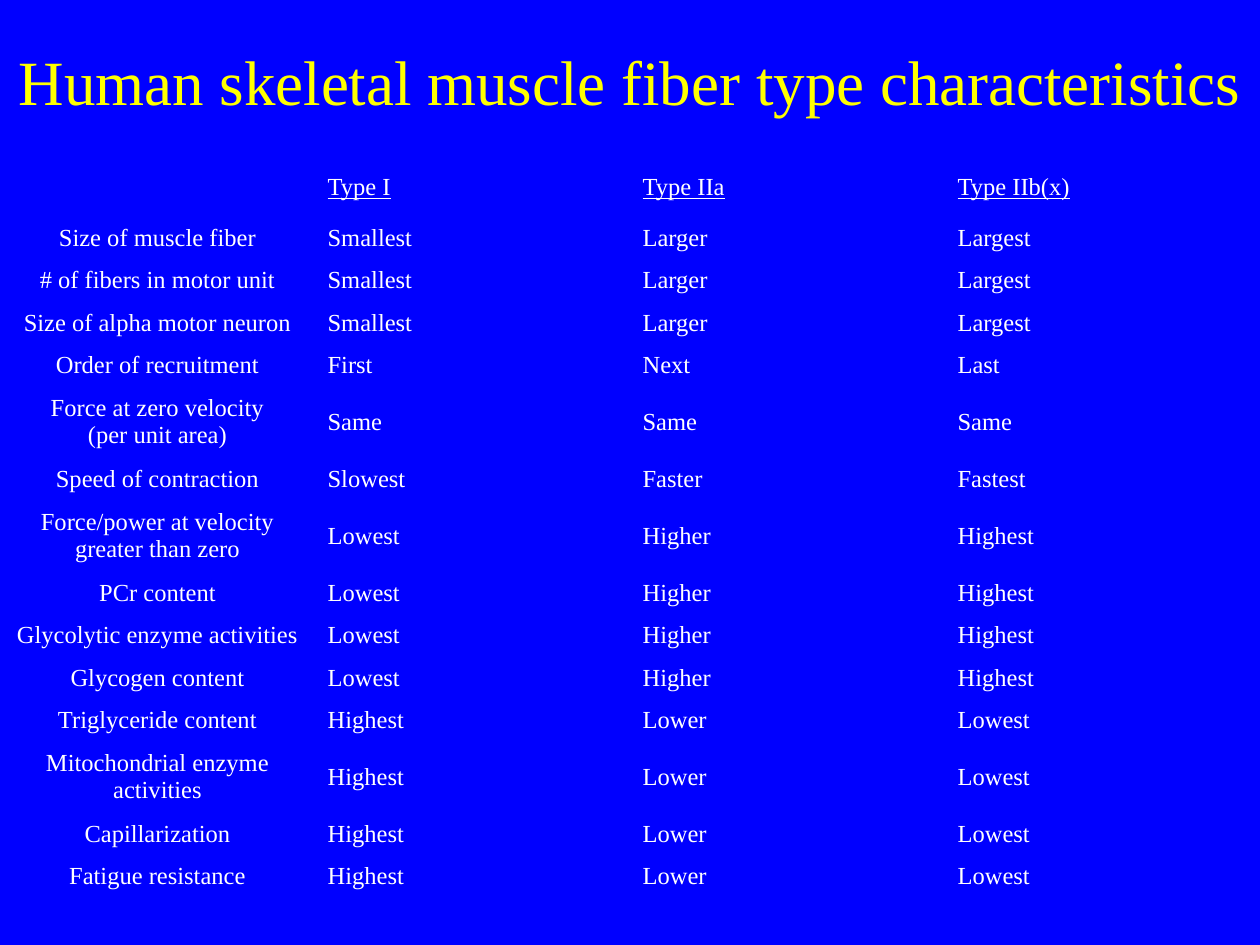
from pptx import Presentation
from pptx.dml.color import RGBColor
from pptx.enum.text import MSO_ANCHOR, PP_ALIGN
from pptx.oxml.ns import qn
from pptx.util import Inches, Pt

BLUE = RGBColor(0x00, 0x00, 0xFF)
YELLOW = RGBColor(0xFF, 0xFF, 0x00)
WHITE = RGBColor(0xFF, 0xFF, 0xFF)
LEFT, CENTER, MIDDLE = PP_ALIGN.LEFT, PP_ALIGN.CENTER, MSO_ANCHOR.MIDDLE

FONT = "Times New Roman"
TITLE_FORMAT = {"name": FONT, "size": Pt(36), "bold": False}
CELL_FORMAT = {"name": FONT, "size": Pt(14), "bold": False}
HEADING_FORMAT = {**CELL_FORMAT, "underline": True}

NO_STYLE_NO_GRID = "{2D5ABB26-0587-4C30-8999-92F81FD0307C}"
HEADING_HEIGHT, SINGLE_HEIGHT, DOUBLE_HEIGHT = Pt(34), Pt(24.2), Pt(41)

TITLE = "Human skeletal muscle fiber type characteristics"
FIBER_TYPES = ("", "Type I", "Type IIa", "Type IIb(x)")
CHARACTERISTICS = [
    ("Size of muscle fiber", "Smallest", "Larger", "Largest"),
    ("# of fibers in motor unit", "Smallest", "Larger", "Largest"),
    ("Size of alpha motor neuron", "Smallest", "Larger", "Largest"),
    ("Order of recruitment", "First", "Next", "Last"),
    ("Force at zero velocity\n(per unit area)", "Same", "Same", "Same"),
    ("Speed of contraction", "Slowest", "Faster", "Fastest"),
    ("Force/power at velocity greater than zero", "Lowest", "Higher", "Highest"),
    ("PCr content", "Lowest", "Higher", "Highest"),
    ("Glycolytic enzyme activities", "Lowest", "Higher", "Highest"),
    ("Glycogen content", "Lowest", "Higher", "Highest"),
    ("Triglyceride content", "Highest", "Lower", "Lowest"),
    ("Mitochondrial enzyme activities", "Highest", "Lower", "Lowest"),
    ("Capillarization", "Highest", "Lower", "Lowest"),
    ("Fatigue resistance", "Highest", "Lower", "Lowest"),
]
LONGEST_SINGLE_LINE = 28  # characters of a label that fit on one line


def format_text(text_frame, color, align, font_format):
    for paragraph in text_frame.paragraphs:
        paragraph.alignment = align
        for run in paragraph.runs:
            run.font.color.rgb = color
            for attribute, value in font_format.items():
                setattr(run.font, attribute, value)


def add_title(slide, width, height):
    title = slide.shapes.title
    title.left, title.top = 0, round(height * 0.023)
    title.width, title.height = width, round(height * 0.123)
    title.text_frame.text = TITLE
    title.text_frame.word_wrap = True
    title.text_frame.vertical_anchor = MIDDLE
    format_text(title.text_frame, YELLOW, CENTER, TITLE_FORMAT)


def row_height(label):
    if not label:
        return HEADING_HEIGHT
    wraps = "\n" in label or len(label) > LONGEST_SINGLE_LINE
    return DOUBLE_HEIGHT if wraps else SINGLE_HEIGHT


def fill_cell(cell, text, align, font_format):
    cell.text = text
    cell.vertical_anchor = MIDDLE
    cell.fill.background()
    format_text(cell.text_frame, WHITE, align, font_format)


def add_comparison(slide, width, height):
    rows = [FIBER_TYPES, *CHARACTERISTICS]
    heights = [row_height(row[0]) for row in rows]
    table = slide.shapes.add_table(
        len(rows), len(FIBER_TYPES), 0, height // 6, width, sum(heights)).table

    # Plain table without bands or grid lines
    table.first_row = table.horz_banding = False
    table._tbl.tblPr.find(qn("a:tableStyleId")).text = NO_STYLE_NO_GRID

    for row_index, row in enumerate(rows):
        table.rows[row_index].height = heights[row_index]
        font_format = CELL_FORMAT if row_index else HEADING_FORMAT
        for column, text in enumerate(row):
            align = LEFT if column else CENTER
            fill_cell(table.cell(row_index, column), text, align, font_format)


def main():
    presentation = Presentation()
    width, height = Inches(10), Inches(7.5)
    presentation.slide_width, presentation.slide_height = width, height
    slide = presentation.slides.add_slide(presentation.slide_layouts[5])

    # Background
    slide.background.fill.solid()
    slide.background.fill.fore_color.rgb = BLUE

    # Title and table
    add_title(slide, width, height)
    add_comparison(slide, width, height)
    presentation.save("out.pptx")


if __name__ == "__main__":
    main()
